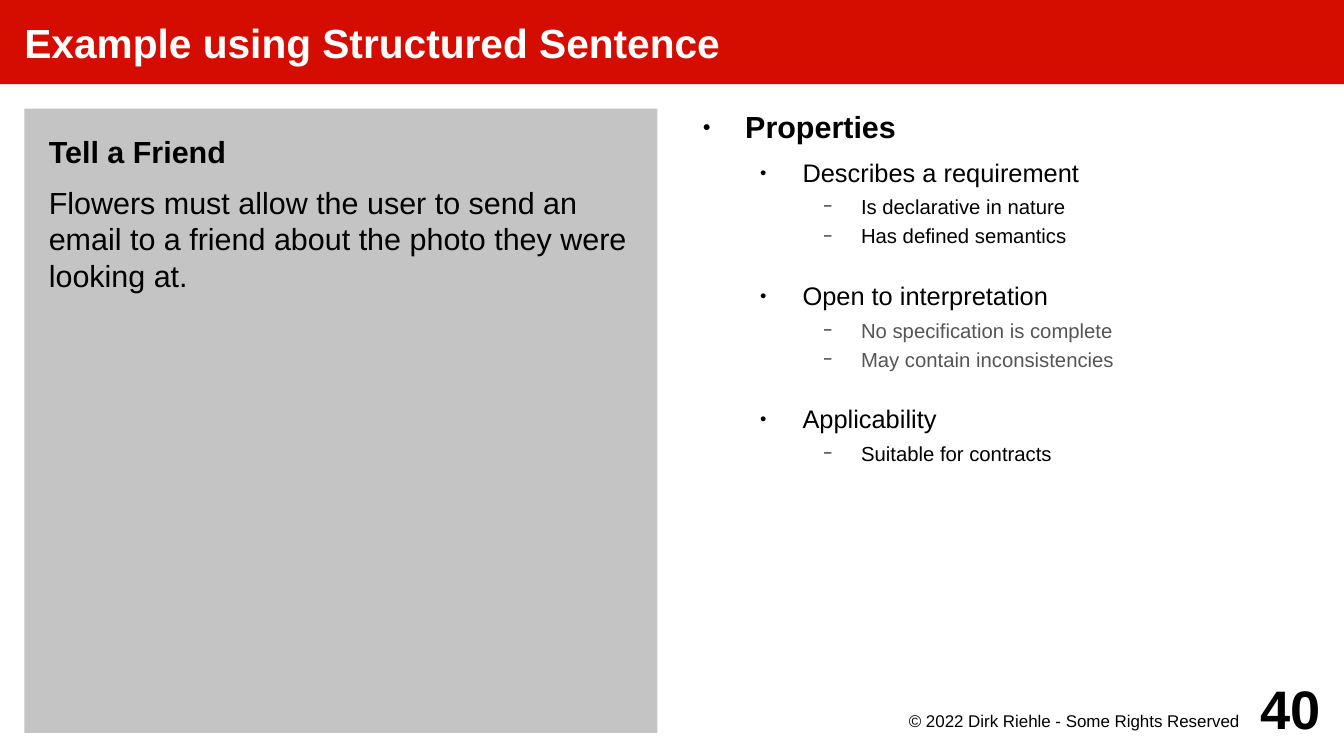
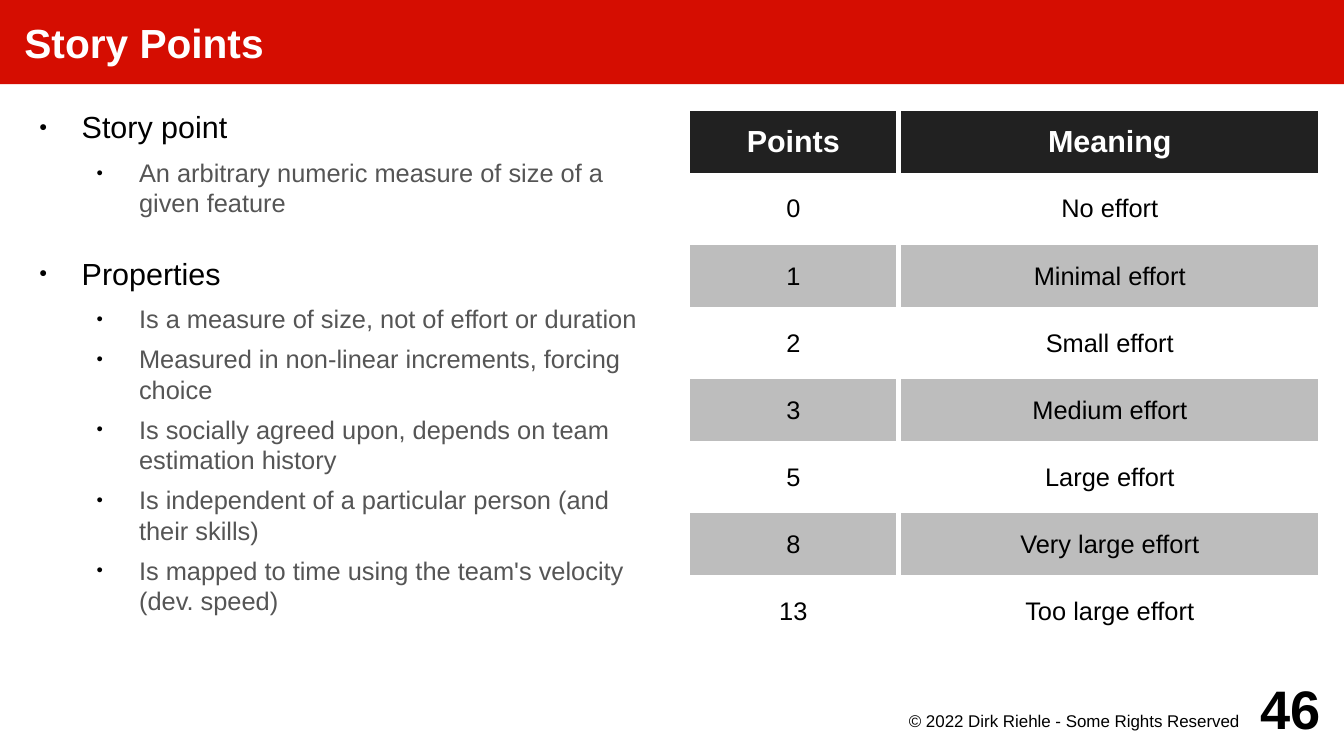
from lxml.etree import SubElement
from pptx import Presentation
from pptx.dml.color import RGBColor
from pptx.enum.shapes import MSO_SHAPE
from pptx.enum.text import MSO_ANCHOR as Anchor, PP_ALIGN as Align
from pptx.oxml.ns import qn
from pptx.util import Inches, Pt

RED = RGBColor(0xD5, 0x0D, 0x01)
WHITE = RGBColor(0xFF, 0xFF, 0xFF)
BLACK = RGBColor(0x00, 0x00, 0x00)
CHARCOAL = RGBColor(0x21, 0x21, 0x21)
DIM = RGBColor(0x55, 0x55, 0x55)
PANEL = RGBColor(0xC4, 0xC4, 0xC4)
STRIPE = RGBColor(0xBD, 0xBD, 0xBD)

FONT = "Arial"
LINE_HEIGHT = 1.2
GROUP_GAP = 14.8

# Page grid, in inches: two equal columns below the title band
WIDTH, HEIGHT = 11.02, 6.2
MARGIN, GUTTER, COLUMN = 0.2, 0.25, 5.19
BAND = 0.69
TOP = BAND + MARGIN
LEFT_COLUMN, RIGHT_COLUMN = MARGIN, MARGIN + COLUMN + GUTTER
RIGHT_EDGE = RIGHT_COLUMN + COLUMN

# Outline levels: text size, space around, left margin, indent, bullet, bullet percent
LEVELS = [
    (18, 4.2, 0.47, -0.35, "●", 45),
    (15, 2.8, 0.94, -0.35, "●", 45),
    (12, 1.4, 1.42, -0.31, "−", 75),
]

PAGES = [
    ("Example using Structured Sentence", "40", RIGHT_COLUMN, [
        (0, "Properties", BLACK, True),
        (1, "Describes a requirement", BLACK, False),
        (2, "Is declarative in nature", BLACK, False),
        (2, "Has defined semantics", BLACK, False),
        (1, "Open to interpretation", BLACK, False),
        (2, "No specification is complete", DIM, False),
        (2, "May contain inconsistencies", DIM, False),
        (1, "Applicability", BLACK, False),
        (2, "Suitable for contracts", BLACK, False),
    ]),
    ("Story Points", "46", LEFT_COLUMN, [
        (0, "Story point", BLACK, False),
        (1, "An arbitrary numeric measure of size of a given feature", DIM, False),
        (0, "Properties", BLACK, False),
        (1, "Is a measure of size, not of effort or duration", DIM, False),
        (1, "Measured in non-linear increments, forcing choice", DIM, False),
        (1, "Is socially agreed upon, depends on team estimation history", DIM, False),
        (1, "Is independent of a particular person (and their skills)", DIM, False),
        (1, "Is mapped to time using the team's velocity (dev. speed)", DIM, False),
    ]),
]

POINTS = [
    ("Points", "Meaning"),
    ("0", "No effort"),
    ("1", "Minimal effort"),
    ("2", "Small effort"),
    ("3", "Medium effort"),
    ("5", "Large effort"),
    ("8", "Very large effort"),
    ("13", "Too large effort"),
]


def add_frame(slide, left, top, width, height, fill=None, insets=(0, 0, 0, 0), anchor=Anchor.TOP):
    """Add a text box, or a filled rectangle, and return its text frame."""
    box = [Inches(length) for length in (left, top, width, height)]
    if fill is None:
        shape = slide.shapes.add_textbox(*box)
    else:
        shape = slide.shapes.add_shape(MSO_SHAPE.RECTANGLE, *box)
        shape.shadow.inherit = False
        shape.fill.solid()
        shape.fill.fore_color.rgb = fill
        shape.line.fill.background()
    frame = shape.text_frame
    frame.word_wrap = True
    frame.vertical_anchor = anchor
    (frame.margin_left, frame.margin_top,
     frame.margin_right, frame.margin_bottom) = [Inches(inset) for inset in insets]
    return frame


def add_run(paragraph, text, size, color=BLACK, bold=False, align=Align.LEFT):
    paragraph.alignment = align
    run = paragraph.add_run()
    run.text = text
    run.font.name = FONT
    run.font.size = Pt(size)
    run.font.bold = bold
    run.font.color.rgb = color


presentation = Presentation()
presentation.slide_width = Inches(WIDTH)
presentation.slide_height = Inches(HEIGHT)
blank_layout = presentation.slide_layouts[6]

# Title band, outline and footer of every slide
for title, number, outline_left, outline in PAGES:
    slide = presentation.slides.add_slide(blank_layout)
    band = add_frame(slide, 0, 0, WIDTH, BAND, RED, (MARGIN, 0, 0, 0), Anchor.MIDDLE)
    add_run(band.paragraphs[0], title, 24, WHITE, True)

    frame = add_frame(slide, outline_left, TOP, COLUMN, 4.53)
    previous_level = None
    for level, text, color, bold in outline:
        size, space, margin, indent, bullet, percent = LEVELS[level]
        first = previous_level is None
        paragraph = frame.paragraphs[0] if first else frame.add_paragraph()
        paragraph.level = level
        properties = paragraph._p.get_or_add_pPr()
        properties.set("marL", str(Inches(margin)))
        properties.set("indent", str(Inches(indent)))
        bullet_color = SubElement(properties, qn("a:buClr"))
        SubElement(bullet_color, qn("a:srgbClr"), val=str(BLACK))
        SubElement(properties, qn("a:buSzPct"), val=str(percent * 1000))
        SubElement(properties, qn("a:buFont"), typeface=FONT)
        SubElement(properties, qn("a:buChar"), char=bullet)
        paragraph.line_spacing = Pt(size * LINE_HEIGHT)
        paragraph.space_after = Pt(space)
        if not first:
            new_group = level < previous_level
            paragraph.space_before = Pt(space + (GROUP_GAP if new_group else 0))
        add_run(paragraph, text, size, color, bold)
        previous_level = level

    copyright_line = add_frame(slide, 7.09, 5.81, 3.15, 0.3, insets=(0, 0.02, 0.08, 0))
    add_run(copyright_line.paragraphs[0], "© 2022 Dirk Riehle - Some Rights Reserved", 10,
            align=Align.RIGHT)
    page_number = add_frame(slide, RIGHT_EDGE - 0.79, 5.51, 0.79, 0.59, anchor=Anchor.MIDDLE)
    add_run(page_number.paragraphs[0], number, 32, bold=True, align=Align.RIGHT)

sentence_slide, points_slide = presentation.slides

# Example sentence in the left column
example = add_frame(sentence_slide, LEFT_COLUMN, TOP, COLUMN, 5.12, PANEL, (MARGIN,) * 4)
heading, sentence = example.paragraphs[0], example.add_paragraph()
add_run(heading, "Tell a Friend", 18, bold=True)
add_run(sentence, "Flowers must allow the user to send an email to a friend about "
        "the photo they were looking at.", 18)
sentence.space_before = Pt(4.2)
for paragraph in (heading, sentence):
    paragraph.space_after = Pt(4.2)
    paragraph.line_spacing = Pt(18 * LINE_HEIGHT)

# Table of story points in the right column
ROW_HEIGHT = 0.55
graphic_frame = points_slide.shapes.add_table(
    len(POINTS), 2, Inches(RIGHT_COLUMN), Inches(TOP),
    Inches(COLUMN), Inches(ROW_HEIGHT * len(POINTS)))
table = graphic_frame.table
table.first_row = table.horz_banding = False
for column, share in zip(table.columns, (1 / 3, 2 / 3)):
    column.width = Inches(COLUMN * share)

for row, values in enumerate(POINTS):
    table.rows[row].height = Inches(ROW_HEIGHT)
    header = row == 0
    fill = CHARCOAL if header else (WHITE if row % 2 else STRIPE)
    for column, value in enumerate(values):
        cell = table.cell(row, column)
        cell.vertical_anchor = Anchor.MIDDLE
        cell.margin_left = cell.margin_right = Inches(0.08)
        cell.margin_top = cell.margin_bottom = Inches(0.05)
        cell_properties = cell._tc.get_or_add_tcPr()
        for side in ("L", "R", "T", "B"):
            border = SubElement(cell_properties, qn(f"a:ln{side}"), w=str(Pt(3.4)))
            border_fill = SubElement(border, qn("a:solidFill"))
            SubElement(border_fill, qn("a:srgbClr"), val=str(WHITE))
        cell.fill.solid()
        cell.fill.fore_color.rgb = fill
        add_run(cell.text_frame.paragraphs[0], value, 18 if header else 15,
                WHITE if header else BLACK, header, Align.CENTER)

presentation.save("out.pptx")
